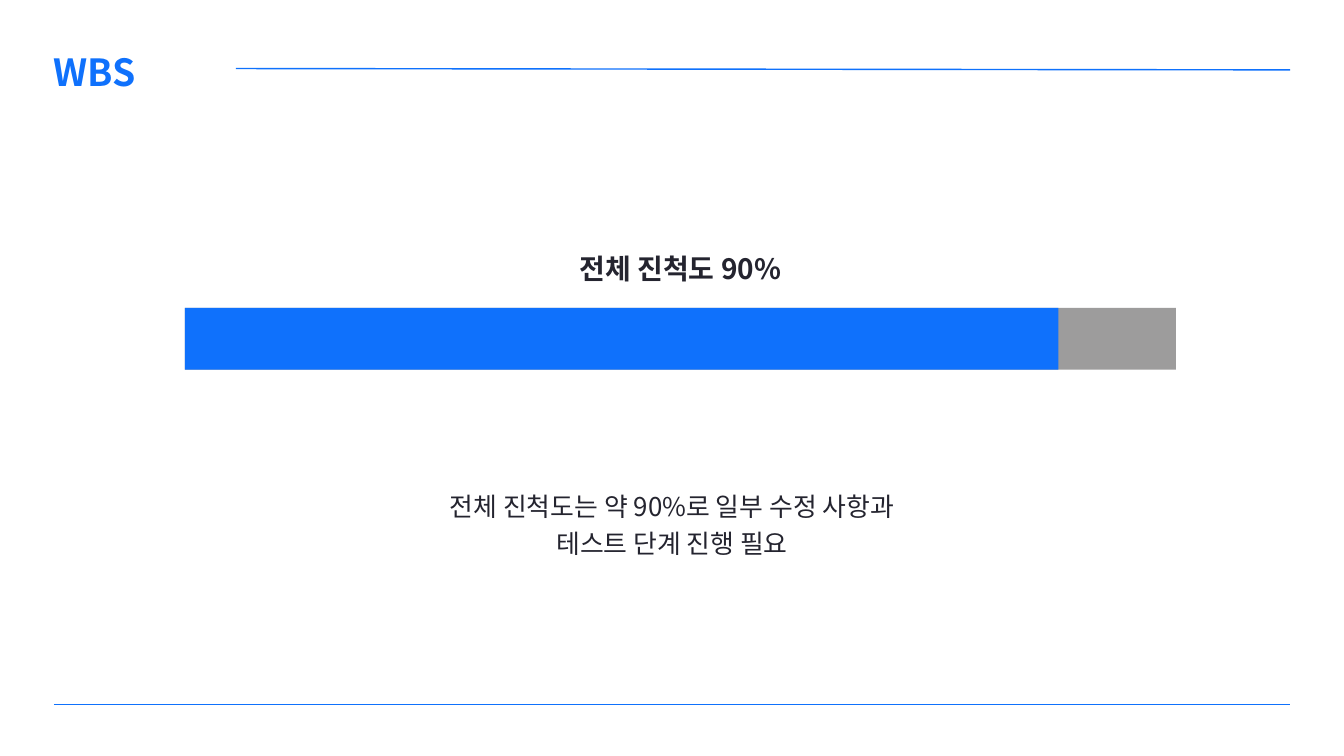
from dataclasses import dataclass

from lxml.etree import SubElement
from pptx import Presentation
from pptx.dml.color import RGBColor
from pptx.enum.shapes import MSO_CONNECTOR, MSO_SHAPE
from pptx.enum.text import MSO_ANCHOR, MSO_AUTO_SIZE, PP_ALIGN
from pptx.oxml.ns import qn
from pptx.util import Inches, Pt

CELL = Inches(0.1)
COLUMNS, ROWS = 200, 112.5


@dataclass(frozen=True)
class Theme:
    """Colours, font and type sizes of the slide."""
    accent: RGBColor = RGBColor.from_string("0F71FC")
    ink: RGBColor = RGBColor.from_string("24242F")
    track: RGBColor = RGBColor.from_string("9D9C9C")
    font: str = "Noto Sans CJK SC"
    title: float = 40
    label: float = 30
    body: float = 27.7
    leading: float = 1.4
    rule: float = 1.5


@dataclass(frozen=True)
class Box:
    """A region measured in grid columns and rows."""
    left: float
    top: float
    width: float
    height: float

    def inner(self, left, top, width, height):
        """Return a box placed relative to this one."""
        return Box(self.left + left, self.top + top, width, height)

    def lengths(self):
        """Return left, top, width and height as slide lengths."""
        return [round(value * CELL) for value in (self.left, self.top, self.width, self.height)]


THEME = Theme()


def write_text(shape, lines, size, color, bold=False, align=PP_ALIGN.CENTER):
    """Fill a shape with equally formatted paragraphs and no insets."""
    frame = shape.text_frame
    frame.word_wrap = True
    frame.auto_size = MSO_AUTO_SIZE.NONE
    frame.vertical_anchor = MSO_ANCHOR.TOP
    frame.margin_left = frame.margin_top = frame.margin_right = frame.margin_bottom = 0
    frame.text = "\n".join(lines)
    for paragraph in frame.paragraphs:
        paragraph.alignment = align
        paragraph.line_spacing = Pt(round(size * THEME.leading, 1))
        paragraph.space_before = Pt(0)
        font = paragraph.font
        font.size, font.bold = Pt(size), bold
        font.color.rgb = color
        font.name = THEME.font
        properties = paragraph._p.pPr.find(qn("a:defRPr"))
        SubElement(properties, qn("a:ea")).set("typeface", THEME.font)


def add_text(slide, box, lines, size, bold=False):
    """Add a centred text box in the ink colour."""
    shape = slide.shapes.add_textbox(*box.lengths())
    write_text(shape, lines, size, THEME.ink, bold)


def add_rule(slide, box):
    """Draw an accent line across a box from top left to bottom right."""
    left, top, width, height = box.lengths()
    line = slide.shapes.add_connector(
        MSO_CONNECTOR.STRAIGHT, left, top, left + width, top + height)
    line.line.color.rgb = THEME.accent
    line.line.width = Pt(THEME.rule)
    SubElement(line._element.spPr, qn("a:effectLst"))


def add_bar(slide, box, color):
    """Draw a plain filled bar."""
    bar = slide.shapes.add_shape(MSO_SHAPE.RECTANGLE, *box.lengths())
    bar.shadow.inherit = False
    bar.fill.solid()
    bar.fill.fore_color.rgb = color
    bar.line.fill.background()


def add_header(slide, box, text):
    """Place the title and the line to its right."""
    title = slide.shapes.title
    title.left, title.top, title.width, title.height = box.inner(0, 0, 16.2, box.height).lengths()
    write_text(title, [text], THEME.title, THEME.accent, True, PP_ALIGN.LEFT)
    rule_start = 27.1
    add_rule(slide, box.inner(rule_start, 4, box.width - rule_start, 0.2))


def add_progress(slide, box, label, done_columns):
    """Place a centred label above a progress bar."""
    label_width, bar_height = 32.4, 9.2
    add_text(slide, box.inner((box.width - label_width) / 2, 0, label_width, 5.5),
             [label], THEME.label, True)
    for width, color in ((box.width, THEME.track), (done_columns, THEME.accent)):
        add_bar(slide, box.inner(0, box.height - bar_height, width, bar_height), color)


def main():
    """Build and save the progress slide."""
    presentation = Presentation()
    presentation.slide_width = round(COLUMNS * CELL)
    presentation.slide_height = round(ROWS * CELL)
    slide = presentation.slides.add_slide(presentation.slide_layouts.get_by_name("Title Only"))
    margin = 8
    content_width = COLUMNS - 2 * margin
    add_header(slide, Box(margin, 6.2, content_width, 7.3), "WBS")
    add_progress(slide, Box(27.5, 36.6, 147.5, 18.4), "전체 진척도 90%", 130)
    add_text(slide, Box(31.9, 72.3, 136.2, 10.6),
             ["전체 진척도는 약 90%로 일부 수정 사항과", "테스트 단계 진행 필요"], THEME.body)
    add_rule(slide, Box(margin, 104.8, content_width, 0))
    presentation.save("out.pptx")


if __name__ == "__main__":
    main()
